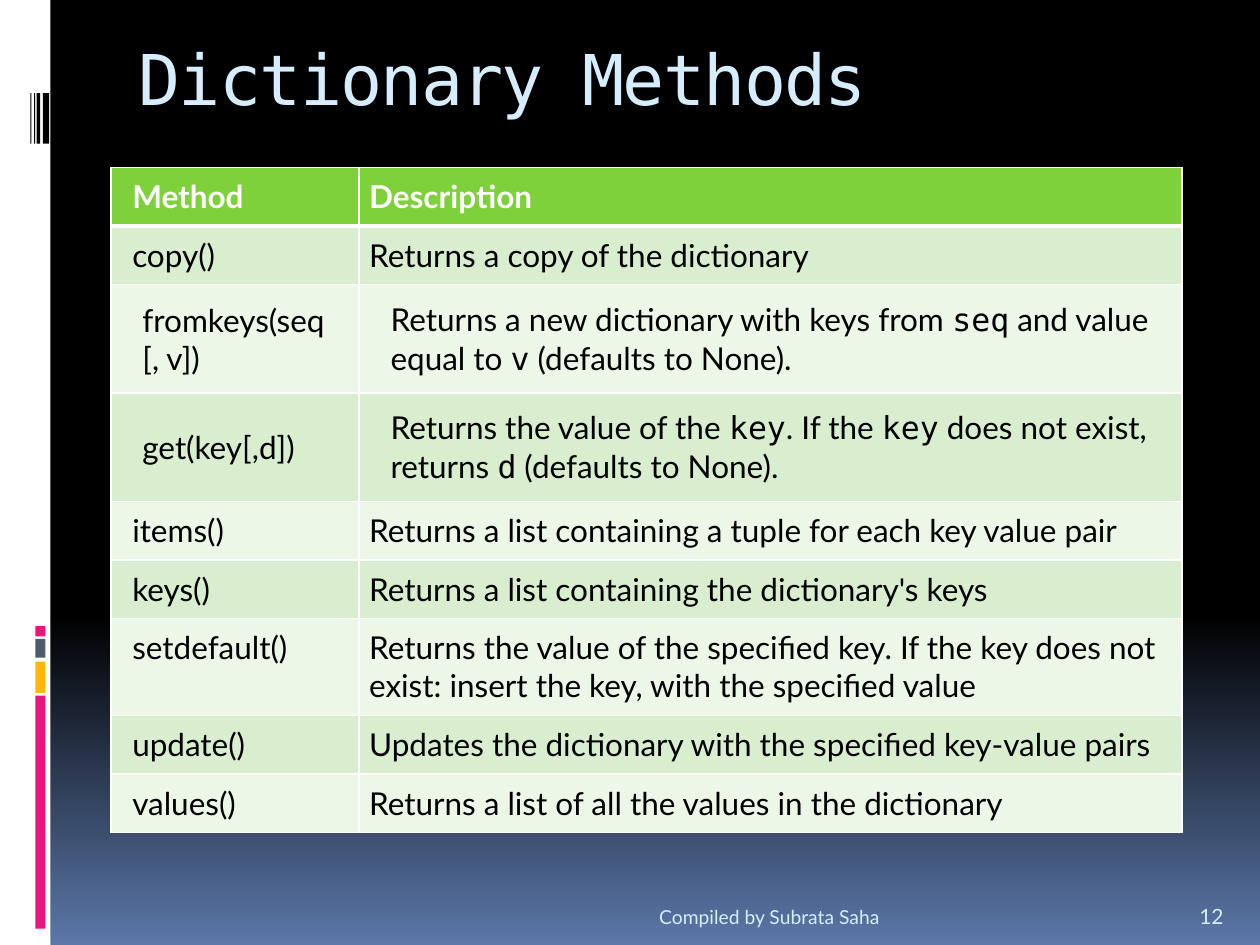
from dataclasses import dataclass

from lxml import etree
from pptx import Presentation
from pptx import util as u
from pptx.dml.color import RGBColor
from pptx.enum import shapes, text
from pptx.oxml.ns import qn


@dataclass(frozen=True)
class Theme:
    sans: str = "Lato"
    mono: str = "DejaVu Sans Mono"
    black: str = "000000"
    white: str = "FFFFFF"
    horizon: str = "5B77A8"
    pale_blue: str = "D6ECFF"
    pink: str = "EA157A"
    amber: str = "FEB80A"
    slate: str = "4E5B6F"
    header: str = "7FD13B"
    bands: tuple = ("D8EECE", "ECF7E8")
    title_size: int = 40
    table_size: int = 18
    footer_size: int = 11
    number_size: int = 12


THEME = Theme()
SINGLE, DOUBLE, PADDED = 0.465, 0.77, 0.86  # row heights

# Backticks mark words set in the monospaced font
METHODS = [
    ("Method", "Description", SINGLE),
    ("copy()", "Returns a copy of the dictionary", SINGLE),
    ("fromkeys(seq [, v])",
     "Returns a new dictionary with keys from `seq` and value equal to `v` (defaults to None).",
     PADDED),
    ("get(key[,d])",
     "Returns the value of the `key`. If the `key` does not exist, returns `d` (defaults to None).",
     PADDED),
    ("items()", "Returns a list containing a tuple for each key value pair", SINGLE),
    ("keys()", "Returns a list containing the dictionary's keys", SINGLE),
    ("setdefault()",
     "Returns the value of the specified key. If the key does not exist: "
     "insert the key, with the specified value", DOUBLE),
    ("update()", "Updates the dictionary with the specified key-value pairs", SINGLE),
    ("values()", "Returns a list of all the values in the dictionary", SINGLE),
]


def rgb(color):
    return RGBColor.from_string(color)


def inches(box):
    return [u.Inches(length) for length in box]


def style_run(run, size, color, font=THEME.sans, bold=False):
    run.font.size = u.Pt(size)
    run.font.name = font
    run.font.bold = bold
    run.font.color.rgb = rgb(color)


def paint_background(slide):
    fill = slide.background.fill
    fill.gradient()
    fill.gradient_angle = 270
    stops = [(0.65, THEME.black), (1, THEME.horizon)]
    for stop, (position, color) in zip(fill.gradient_stops, stops):
        stop.position = position
        stop.color.rgb = rgb(color)


def add_block(slide, box, color):
    block = slide.shapes.add_shape(shapes.MSO_SHAPE.RECTANGLE, *inches(box))
    block.shadow.inherit = False
    block.fill.solid()
    block.fill.fore_color.rgb = rgb(color)
    block.line.fill.background()


def add_sidebar(slide, box):
    left, top, width, height = box
    add_block(slide, box, THEME.white)
    # Coloured blocks near the bottom
    for y, block_height, color in [(5.52, 1.85, THEME.pink), (5.25, 0.25, THEME.amber),
                                   (5.07, 0.15, THEME.slate), (4.97, 0.08, THEME.pink)]:
        add_block(slide, (left + 0.28, top + y, 0.08, block_height), color)
    # Barcode stripes
    for x, stripe_width in [(0.34, 0.05), (0.29, 0.03), (0.27, 0.01), (0.24, 0.01)]:
        add_block(slide, (left + x, top + 0.74, stripe_width, 0.4), THEME.black)


def set_title(slide, box, wording):
    title = slide.shapes.title
    title.left, title.top, title.width, title.height = inches(box)
    frame = title.text_frame
    frame.text = wording
    frame.auto_size = text.MSO_AUTO_SIZE.NONE
    frame.vertical_anchor = text.MSO_ANCHOR.TOP
    line = frame.paragraphs[0]
    line.alignment = text.PP_ALIGN.LEFT
    style_run(line.runs[0], THEME.title_size, THEME.pale_blue, THEME.mono)
    line.runs[0].font._element.set("spc", "-100")


def set_borders(cell, bottom_width):
    properties = cell._tc.get_or_add_tcPr()
    for side, width in [("L", 1), ("R", 1), ("T", 1), ("B", bottom_width)]:
        border = etree.SubElement(properties, qn(f"a:ln{side}"), w=str(u.Pt(width)))
        fill = etree.SubElement(border, qn("a:solidFill"))
        etree.SubElement(fill, qn("a:srgbClr"), val=THEME.white)


def fill_cell(cell, wording, color, margins, is_header, is_padded):
    set_borders(cell, 3 if is_header else 1)
    cell.fill.solid()
    cell.fill.fore_color.rgb = rgb(color)
    (cell.margin_left, cell.margin_top,
     cell.margin_right, cell.margin_bottom) = inches(margins)
    cell.vertical_anchor = text.MSO_ANCHOR.MIDDLE if is_padded else text.MSO_ANCHOR.TOP
    line = cell.text_frame.paragraphs[0]
    for index, part in enumerate(wording.split("`")):
        run = line.add_run()
        run.text = part
        style_run(run, THEME.table_size, THEME.white if is_header else THEME.black,
                  THEME.mono if index % 2 else THEME.sans, is_header)


def add_methods_table(slide, box):
    table = slide.shapes.add_table(len(METHODS), 2, *inches(box)).table
    method_width = 1.97
    table.columns[0].width = u.Inches(method_width)
    table.columns[1].width = u.Inches(box[2] - method_width)
    for row, (method, description, height) in enumerate(METHODS):
        table.rows[row].height = u.Inches(height)
        is_header, is_padded = row == 0, height == PADDED
        color = THEME.header if is_header else THEME.bands[(row - 1) % 2]
        for column, wording in enumerate((method, description)):
            if is_padded:
                margins = (0.25, 0.12, 0.25, 0.12)
            else:
                margins = (0.08 if column else 0.17, 0.08, 0.08, 0.08)
            fill_cell(table.cell(row, column), wording, color, margins, is_header, is_padded)


def add_footer_text(slide, box, wording, size, alignment):
    frame = slide.shapes.add_textbox(*inches(box)).text_frame
    frame.word_wrap = True
    frame.vertical_anchor = text.MSO_ANCHOR.BOTTOM
    frame.text = wording
    line = frame.paragraphs[0]
    line.alignment = alignment
    style_run(line.runs[0], size, THEME.pale_blue)


def main():
    deck = Presentation()
    deck.slide_width, deck.slide_height = u.Inches(10), u.Inches(7.5)
    slide = deck.slides.add_slide(deck.slide_layouts.get_by_name("Title Only"))
    paint_background(slide)
    add_sidebar(slide, (0, 0, 0.4, 7.5))
    set_title(slide, (1, 0.23, 8.5, 0.61), "Dictionary Methods")
    add_methods_table(slide, (0.88, 1.33, 8.5, 5.27))
    add_footer_text(slide, (1, 7.02, 6.08, 0.4), "Compiled by Subrata Saha",
                    THEME.footer_size, text.PP_ALIGN.RIGHT)
    add_footer_text(slide, (9.42, 7.02, 0.5, 0.4), "12",
                    THEME.number_size, text.PP_ALIGN.LEFT)
    deck.save("out.pptx")


if __name__ == "__main__":
    main()
